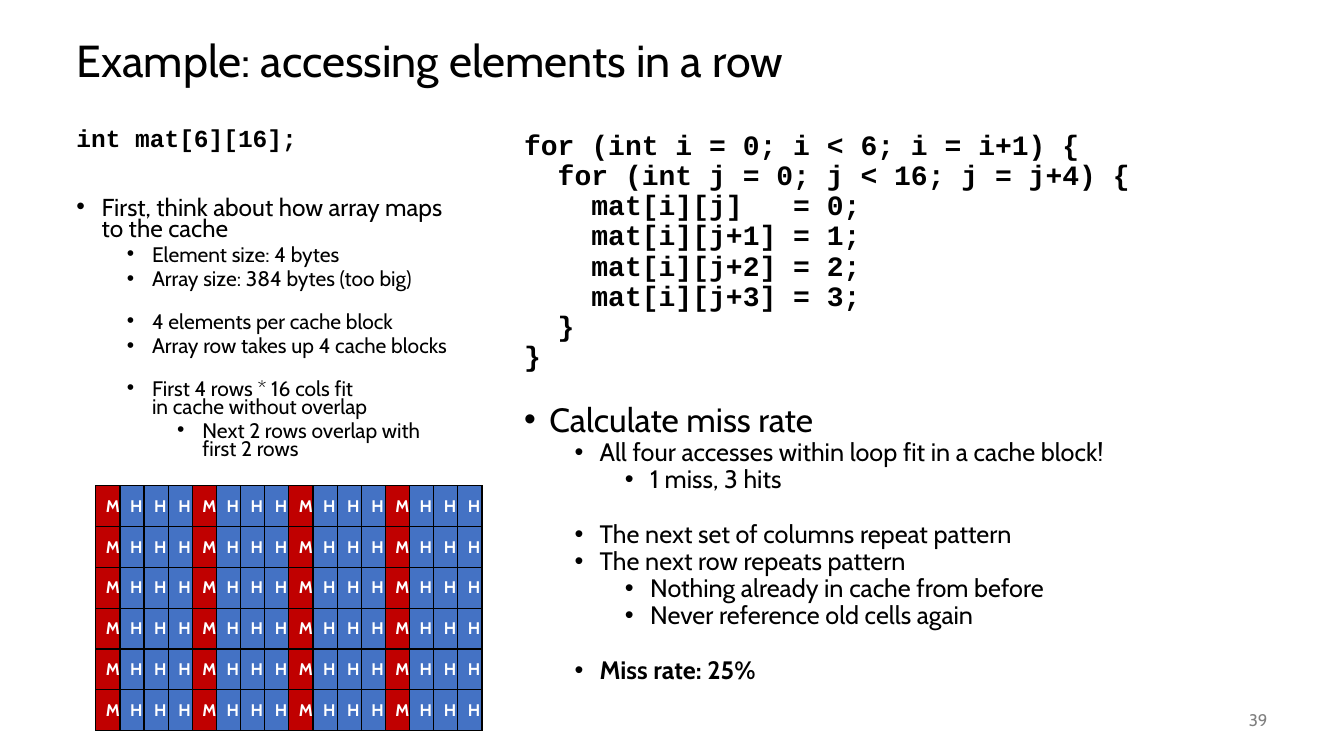
from copy import deepcopy
from dataclasses import dataclass

from lxml.etree import SubElement
from pptx import Presentation
from pptx.dml.color import RGBColor
from pptx.enum.text import MSO_ANCHOR, PP_ALIGN
from pptx.oxml import parse_xml
from pptx.oxml.ns import nsdecls, qn
from pptx.util import Inches, Pt


@dataclass(frozen=True)
class Theme:
    body: str = "Cabin"
    mono: str = "Courier New"
    ink: str = "000000"
    gray: str = "808080"
    white: str = "FFFFFF"
    miss: str = "C00000"
    hit: str = "4472C4"
    title: float = 32
    small: float = 12
    wide: tuple = (20, 24, 18, 18)  # code, then bullet levels 0 to 2
    tight: tuple = (17.5, 17.5, 15, 15)


CODE = """for (int i = 0; i < 6; i = i+1) {
  for (int j = 0; j < 16; j = j+4) {
    mat[i][j]   = 0;
    mat[i][j+1] = 1;
    mat[i][j+2] = 2;
    mat[i][j+3] = 3;
  }
}"""

# Bullets: level, text, space before in points
RATE = [
    (0, "Calculate miss rate", 21.6),
    (1, "All four accesses within loop fit in a cache block!", 0),
    (2, "1 miss, 3 hits", 0),
    (1, "The next set of columns repeat pattern", 19.6),
    (1, "The next row repeats pattern", 0),
    (2, "Nothing already in cache from before", 0),
    (2, "Never reference old cells again", 0),
    (1, "Miss rate: 25%", 19.6),
]
LAYOUT = [
    (0, "First, think about how array maps to the cache", 34.7),
    (1, "Element size: 4 bytes", 5),
    (1, "Array size: 384 bytes (too big)", 5),
    (1, "4 elements per cache block", 17.7),
    (1, "Array row takes up 4 cache blocks", 5),
    (1, "First 4 rows * 16 cols fit\vin cache without overlap", 17.7),
    (2, "Next 2 rows overlap with first 2 rows", 5),
]


class Deck:
    def __init__(self, theme):
        self.theme = theme
        self.file = Presentation()
        self.file.slide_width = Inches(13.33)
        self.file.slide_height = Inches(7.5)
        self.slide = self.file.slides.add_slide(self.file.slide_layouts[6])

    def style(self, para, size, color, face=None, bold=False):
        for run in para.runs:
            run.font.size = Pt(size)
            run.font.name = face or self.theme.body
            run.font.bold = bold
            run.font.color.rgb = RGBColor.from_string(color)
        for gap in para._p.findall(qn("a:br")):
            gap.append(deepcopy(para.runs[0]._r.rPr))

    def frame(self, box, anchor=MSO_ANCHOR.TOP):
        frame = self.slide.shapes.add_textbox(*map(Inches, box)).text_frame
        frame.word_wrap = True
        frame.vertical_anchor = anchor
        return frame

    def label(self, box, text, size, color, align=PP_ALIGN.LEFT):
        frame = self.frame(box, MSO_ANCHOR.MIDDLE)
        frame.text = text
        para = frame.paragraphs[0]
        para.alignment = align
        para.line_spacing = 0.9
        self.style(para, size, color)

    def bullet(self, para, level):
        para.level = level
        props = para._p.get_or_add_pPr()
        props.set("marL", str(Inches(0.25 + 0.5 * level)))
        props.set("indent", str(Inches(-0.25)))
        SubElement(props, qn("a:buFont"), typeface="Arial")
        SubElement(props, qn("a:buChar"), char="•")

    def notes(self, box, code, items, sizes, pitch, strong=()):
        """Code lines followed by bullets; texts in strong are bold."""
        frame = self.frame(box)
        frame.text = code
        for para in frame.paragraphs:
            para.line_spacing = pitch
            self.style(para, sizes[0], self.theme.ink, self.theme.mono, True)
        for level, text, before in items:
            para = frame.add_paragraph()
            para.text = text
            self.bullet(para, level)
            para.line_spacing = pitch
            para.space_before = Pt(before)
            self.style(para, sizes[level + 1], self.theme.ink, bold=text in strong)

    def border(self, cell):
        props = cell._tc.get_or_add_tcPr()
        for spot, side in enumerate("LRTB"):
            props.insert(spot, parse_xml(
                f'<a:ln{side} {nsdecls("a")} w="{Pt(1)}"><a:solidFill>'
                f'<a:srgbClr val="{self.theme.ink}"/></a:solidFill></a:ln{side}>'))

    def grid(self, box, rows, cols, block):
        """Access map: the first column of each cache block misses."""
        table = self.slide.shapes.add_table(rows, cols, *map(Inches, box)).table
        for spot, cell in enumerate(table.iter_cells()):
            miss = spot % cols % block == 0
            cell.text = "M" if miss else "H"
            cell.vertical_anchor = MSO_ANCHOR.MIDDLE
            cell.fill.solid()
            fill = self.theme.miss if miss else self.theme.hit
            cell.fill.fore_color.rgb = RGBColor.from_string(fill)
            para = cell.text_frame.paragraphs[0]
            para.alignment = PP_ALIGN.CENTER
            self.style(para, self.theme.small, self.theme.white, bold=True)
            self.border(cell)


def main():
    theme = Theme()
    deck = Deck(theme)
    deck.label((0.66, 0.25, 12, 0.75), "Example: accessing elements in a row",
               theme.title, theme.ink)
    deck.label((11.67, 6.95, 1, 0.4), "39", theme.small, theme.gray, PP_ALIGN.RIGHT)
    deck.notes((5.1, 1.25, 7.57, 5.5), CODE, RATE, theme.wide, 0.9,
               strong=("Miss rate: 25%",))
    deck.notes((0.66, 1.25, 3.93, 3.57), "int mat[6][16];", LAYOUT, theme.tight, 0.7)
    deck.grid((0.95, 4.82, 3.64, 2.43), rows=6, cols=16, block=4)
    deck.file.save("out.pptx")


if __name__ == "__main__":
    main()
